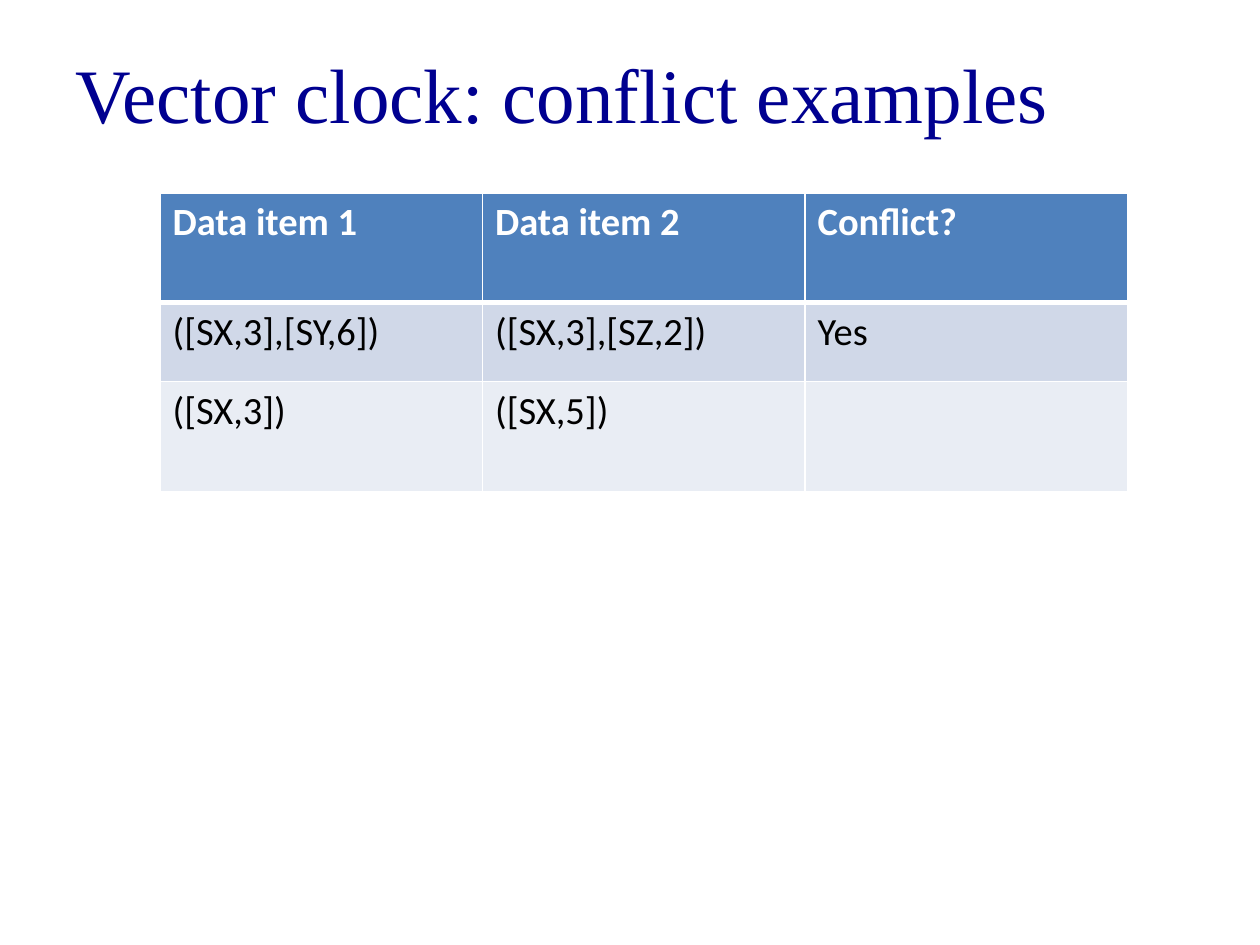
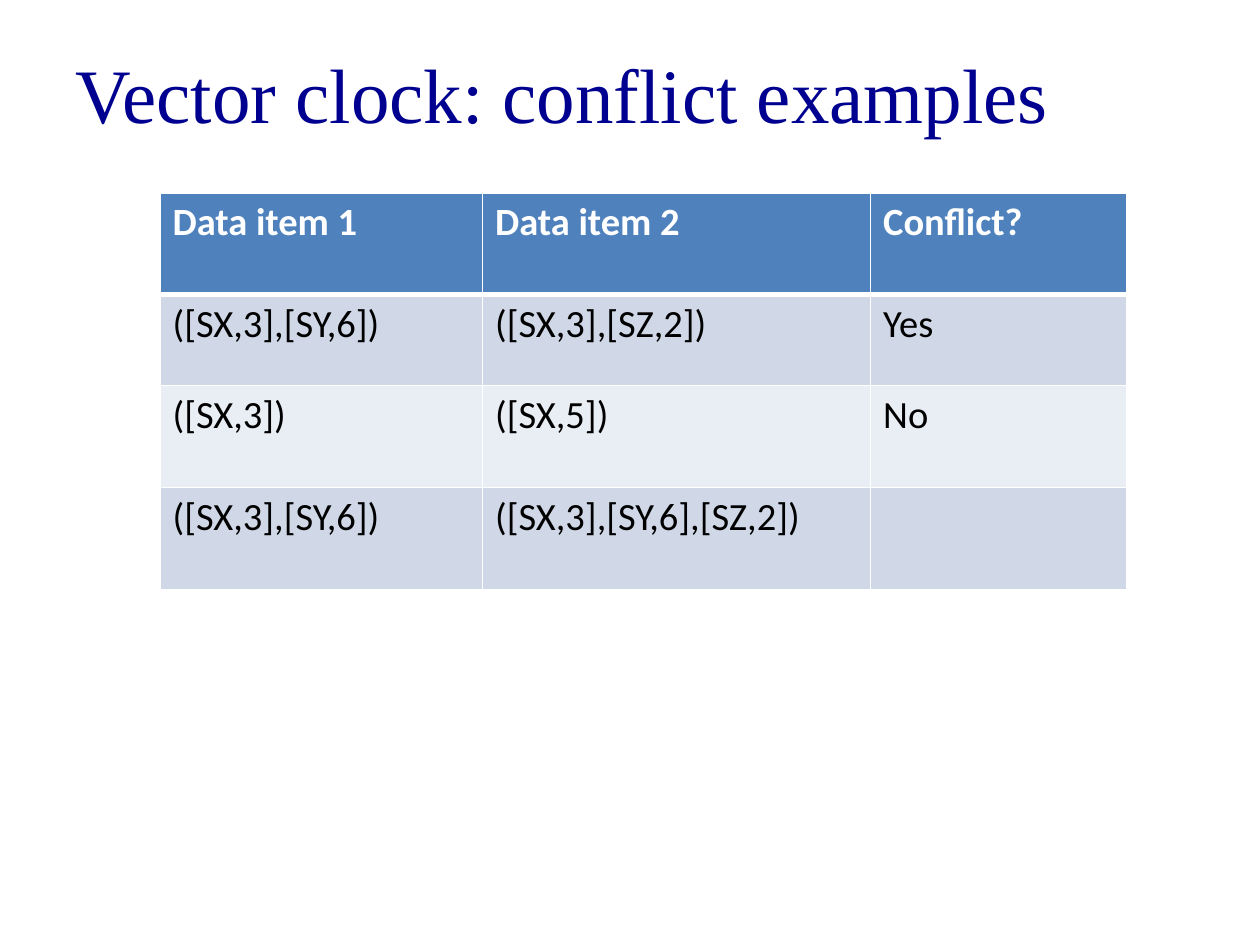
import pptx
import pptx.dml.color
import pptx.enum.text
import pptx.oxml
import pptx.oxml.ns
import pptx.util

RGBColor = pptx.dml.color.RGBColor

# Shared style
NAVY = RGBColor(0x00, 0x00, 0x90)
BLUE = RGBColor(0x4F, 0x81, 0xBD)
BAND_DARK = RGBColor(0xD0, 0xD8, 0xE8)
BAND_LIGHT = RGBColor(0xE9, 0xED, 0xF4)
WHITE = RGBColor(0xFF, 0xFF, 0xFF)
BLACK = RGBColor(0x00, 0x00, 0x00)
TITLE_FONT = "Times New Roman"
TABLE_FONT = "Calibri"
GRID_COLUMNS, GRID_ROWS = 100, 75

# Shared wording
TITLE = "Vector clock: conflict examples"
HEADER = ("Data item 1", "Data item 2", "Conflict?")
ITEM_PAIRS = (
    ("([SX,3],[SY,6])", "([SX,3],[SZ,2])"),
    ("([SX,3])", "([SX,5])"),
    ("([SX,3],[SY,6])", "([SX,3],[SY,6],[SZ,2])"),
)
ANSWERS = ("Yes", "No")


class Deck:
    """Holds the style and the current slide; lengths are grid units."""

    def __init__(self):
        self.presentation = pptx.Presentation()
        self.presentation.slide_width = pptx.util.Inches(10)
        self.presentation.slide_height = pptx.util.Inches(7.5)
        self.slide = None

    def across(self, columns):
        return round(self.presentation.slide_width * columns / GRID_COLUMNS)

    def down(self, rows):
        return round(self.presentation.slide_height * rows / GRID_ROWS)

    def add_slide(self, title):
        layout = self.presentation.slide_layouts.get_by_name("Title Only")
        self.slide = self.presentation.slides.add_slide(layout)
        self.slide.background.fill.solid()
        self.slide.background.fill.fore_color.rgb = WHITE
        shape = self.slide.shapes.title
        shape.left, shape.top = self.across(5), self.down(1.1)
        shape.width, shape.height = self.across(90), self.down(12.5)
        shape.text_frame.text = title
        shape.text_frame.vertical_anchor = pptx.enum.text.MSO_ANCHOR.MIDDLE
        paragraph = shape.text_frame.paragraphs[0]
        paragraph.alignment = pptx.enum.text.PP_ALIGN.LEFT
        self.set_font(paragraph, TITLE_FONT, 44, NAVY)

    def set_font(self, paragraph, name, size, color, bold=False):
        font = paragraph.font
        font.name, font.size, font.bold = name, pptx.util.Pt(size), bold
        font.color.rgb = color

    def add_border(self, cell, side, points):
        line = pptx.oxml.parse_xml(
            f'<a:{side} {pptx.oxml.ns.nsdecls("a")} w="{pptx.util.Pt(points)}">'
            f'<a:solidFill><a:srgbClr val="{WHITE}"/></a:solidFill></a:{side}>')
        cell._tc.get_or_add_tcPr().append(line)

    def add_table(self, left, top, widths, heights, records):
        table = self.slide.shapes.add_table(
            len(heights), len(widths), self.across(left), self.down(top),
            self.across(sum(widths)), self.down(sum(heights))).table
        for column, width in zip(table.columns, widths):
            column.width = self.across(width)
        for index, (row, height, record) in enumerate(
                zip(table.rows, heights, records)):
            row.height = self.down(height)
            for cell, text in zip(row.cells, record):
                self.fill_cell(cell, text, index)

    def fill_cell(self, cell, text, row_index):
        is_header = row_index == 0
        # A heavier rule parts the header from the first example
        top = 3 if row_index == 1 else 1
        bottom = 3 if is_header else 1
        for side, points in (("lnL", 1), ("lnR", 1), ("lnT", top), ("lnB", bottom)):
            self.add_border(cell, side, points)
        cell.fill.solid()
        band = BAND_DARK if row_index % 2 else BAND_LIGHT
        cell.fill.fore_color.rgb = BLUE if is_header else band
        cell.text = text
        self.set_font(cell.text_frame.paragraphs[0], TABLE_FONT, 22,
                      WHITE if is_header else BLACK, is_header)

    def add_examples(self, count, widths, heights):
        """Shows the first examples, leaving the last answer open."""
        answers = (*ANSWERS[:count - 1], "")
        records = [HEADER]
        for pair, answer in zip(ITEM_PAIRS, answers):
            records.append((*pair, answer))
        self.add_slide(TITLE)
        self.add_table(12.7, 15.3, widths, heights, records)


def main():
    deck = Deck()
    # Slide 1: two examples
    deck.add_examples(2, (25.6, 25.6, 25.6), (8.7, 6.3, 8.7))
    # Slide 2: three examples, with a wider second column
    deck.add_examples(3, (25.6, 30.8, 20.3), (8.1, 7.2, 8.1, 8.1))
    deck.presentation.save("out.pptx")


if __name__ == "__main__":
    main()
